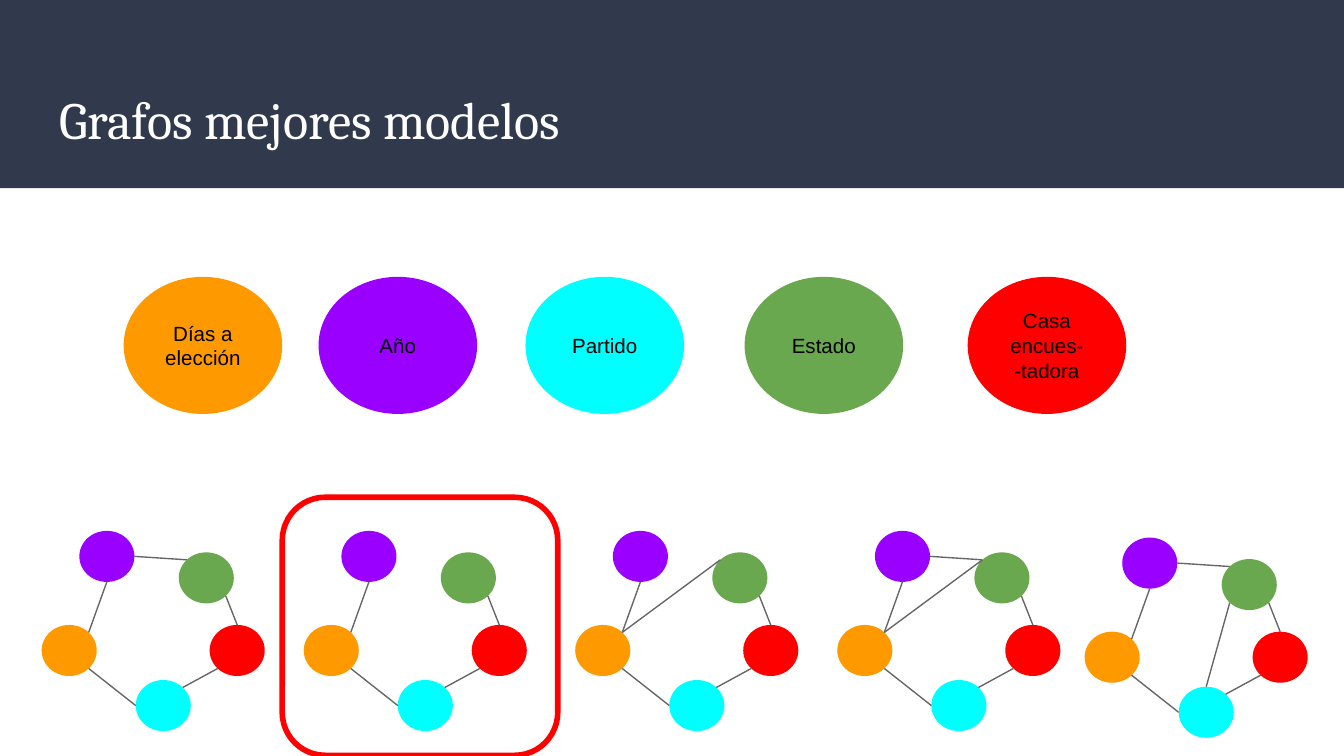
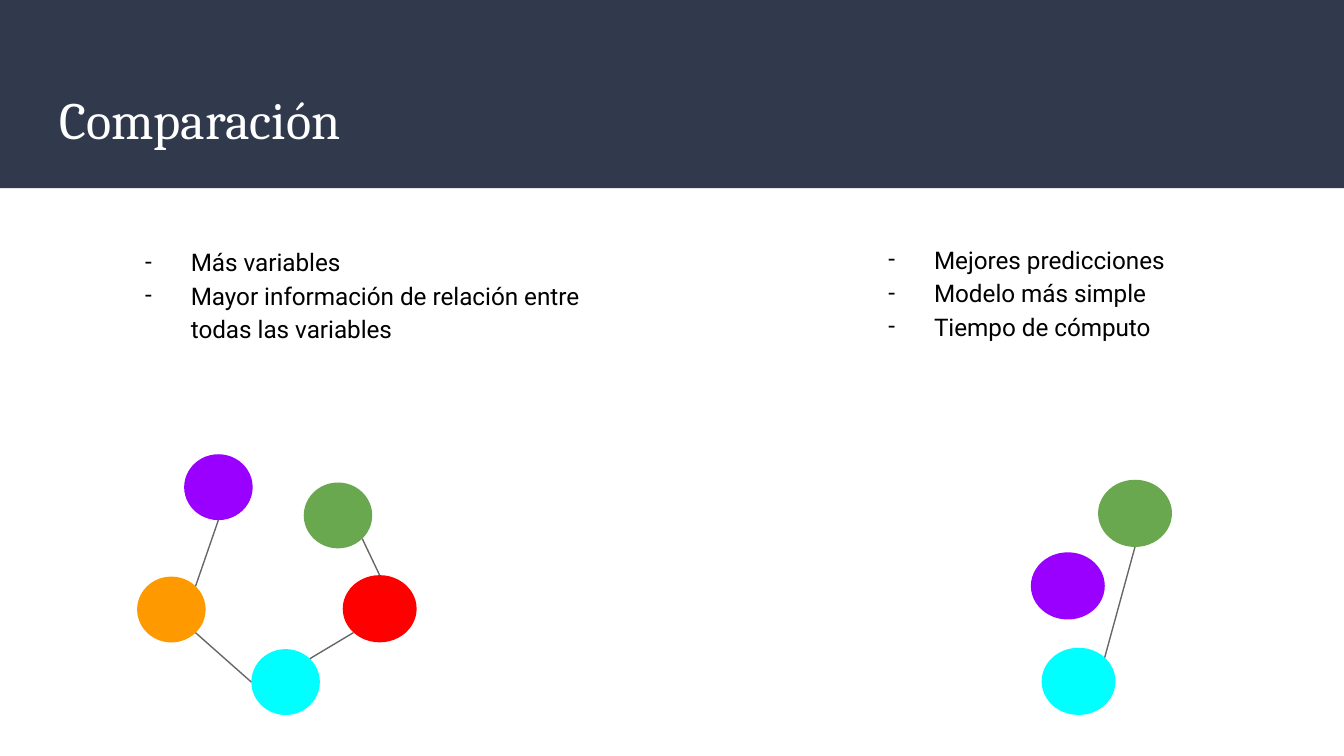
from dataclasses import dataclass
from math import cos, pi, sin

from lxml.etree import SubElement
from pptx import Presentation
from pptx.dml.color import RGBColor
from pptx.enum.shapes import MSO_CONNECTOR, MSO_SHAPE
from pptx.enum.text import MSO_ANCHOR, MSO_AUTO_SIZE, PP_ALIGN
from pptx.oxml.ns import qn
from pptx.util import Inches, Pt

COLORS = {
    "band": "31394D", "white": "FFFFFF", "text": "000000", "edge": "666666",
    "días": "FF9900", "año": "9900FF", "partido": "00FFFF",
    "estado": "6AA84F", "casa": "FF0000",
}

# Angles of the connection points on an ellipse, clockwise from the right
ANGLES = {"r": 0, "br": 45, "b": 90, "bl": 135,
          "l": 180, "tl": 225, "t": 270, "tr": 315}


@dataclass(frozen=True)
class Node:
    kind: str
    x: float
    y: float
    w: float = 0.41
    h: float = 0.38

    def point(self, site: str) -> tuple[float, float]:
        a = ANGLES[site] * pi / 180
        return (self.x + self.w / 2 * (1 + cos(a)),
                self.y + self.h / 2 * (1 + sin(a)))


@dataclass(frozen=True)
class Edge:
    start: str
    start_site: str
    end: str
    end_site: str


@dataclass(frozen=True)
class Graph:
    x: float
    y: float
    extra: tuple[Edge, ...] = ()


@dataclass(frozen=True)
class Legend:
    kind: str
    x: float
    lines: tuple[str, ...]


@dataclass(frozen=True)
class Points:
    box: tuple[float, float, float, float]
    lines: tuple[str, ...]


# Edges found in every full model, and those that only some have
COMMON = (
    Edge("días", "tr", "año", "b"),
    Edge("días", "br", "partido", "l"),
    Edge("estado", "br", "casa", "t"),
    Edge("casa", "bl", "partido", "tr"),
)
AÑO_ESTADO = Edge("año", "r", "estado", "tl")
DÍAS_ESTADO = Edge("días", "tr", "estado", "tl")
ESTADO_PARTIDO = Edge("estado", "bl", "partido", "t")

LEGEND = (
    Legend("días", 0.92, ("Días a elección",)),
    Legend("año", 2.37, ("Año",)),
    Legend("partido", 3.91, ("Partido",)),
    Legend("estado", 5.54, ("Estado",)),
    Legend("casa", 7.2, ("Casa encues-", "-tadora")),
)
OFFSETS = {"días": (0, 0.7), "año": (0.28, 0), "partido": (0.7, 1.11),
           "estado": (1.02, 0.16), "casa": (1.25, 0.7)}
GRAPHS = (
    Graph(0.31, 3.95, (AÑO_ESTADO,)),
    Graph(2.26, 3.95),
    Graph(4.28, 3.95, (DÍAS_ESTADO,)),
    Graph(6.23, 3.95, (DÍAS_ESTADO, AÑO_ESTADO)),
    Graph(8.07, 4, (AÑO_ESTADO, ESTADO_PARTIDO)),
)

FULL_MODEL = (
    Node("días", 1.02, 4.29, 0.51, 0.49),
    Node("año", 1.37, 3.38, 0.51, 0.49),
    Node("partido", 1.87, 4.83, 0.51, 0.49),
    Node("estado", 2.26, 3.59, 0.51, 0.49),
    Node("casa", 2.55, 4.28, 0.55, 0.5),
)
SIMPLE_MODEL = (
    Node("año", 7.67, 4.11, 0.55, 0.5),
    Node("partido", 7.75, 4.82, 0.55, 0.5),
    Node("estado", 8.17, 3.57, 0.55, 0.5),
)
COMPARISON = (
    Points((0.82, 1.71, 3.76, 1.4), (
        "Más variables",
        "Mayor información de relación entre todas las variables")),
    Points((6.35, 1.69, 3.11, 1.42), (
        "Mejores predicciones", "Modelo más simple", "Tiempo de cómputo")),
)


def rgb(name: str) -> RGBColor:
    return RGBColor.from_string(COLORS[name])


def add_run(p, text: str, font: str, size: float, color: str) -> None:
    r = p.add_run()
    r.text = text
    r.font.name, r.font.size = font, Pt(size)
    r.font.color.rgb = rgb(color)


def paragraphs(tf, lines: tuple[str, ...]):
    """Yield each line with the paragraph that will hold it."""
    for i, line in enumerate(lines):
        yield (tf.add_paragraph() if i else tf.paragraphs[0]), line


def format_frame(tf, anchor) -> None:
    tf.word_wrap = True
    tf.auto_size = MSO_AUTO_SIZE.NONE
    tf.vertical_anchor = anchor
    tf.margin_left = tf.margin_right = Inches(0.1)
    tf.margin_top = tf.margin_bottom = Inches(0.1)


def place(sp, x: float, y: float, w: float, h: float) -> None:
    sp.left, sp.top = Inches(x), Inches(y)
    sp.width, sp.height = Inches(w), Inches(h)


def add_filled(s, preset, x: float, y: float, w: float, h: float, color: str):
    sp = s.shapes.add_shape(preset, Inches(x), Inches(y), Inches(w), Inches(h))
    sp.shadow.inherit = False
    sp.fill.solid()
    sp.fill.fore_color.rgb = rgb(color)
    sp.line.fill.background()
    return sp


def new_slide(prs, layout: int, title: str):
    s = prs.slides.add_slide(prs.slide_layouts[layout])
    # Band behind the title
    band = add_filled(s, MSO_SHAPE.RECTANGLE, 0, 0, 10, 1.4, "band")
    s.shapes.element.insert(2, band.element)
    # Title
    sp = s.shapes.title
    place(sp, 0.34, 0.55, 9.32, 0.68)
    format_frame(sp.text_frame, MSO_ANCHOR.TOP)
    p = sp.text_frame.paragraphs[0]
    p.alignment = PP_ALIGN.LEFT
    add_run(p, title, "Cambria", 28, "white")
    return s


def draw_graph(s, nodes: tuple[Node, ...], edges: tuple[Edge, ...]) -> None:
    by_kind = {n.kind: n for n in nodes}
    for n in nodes:
        add_filled(s, MSO_SHAPE.OVAL, n.x, n.y, n.w, n.h, n.kind)
    for e in edges:
        ends = (*by_kind[e.start].point(e.start_site),
                *by_kind[e.end].point(e.end_site))
        line = s.shapes.add_connector(
            MSO_CONNECTOR.STRAIGHT, *(Inches(v) for v in ends))
        line.line.color.rgb = rgb("edge")
        line.line.width = Pt(0.75)
        SubElement(line.element.spPr, qn("a:effectLst"))


def draw_legend(s, item: Legend) -> None:
    sp = add_filled(s, MSO_SHAPE.OVAL, item.x, 2.06, 1.18, 1.02, item.kind)
    format_frame(sp.text_frame, MSO_ANCHOR.MIDDLE)
    for p, line in paragraphs(sp.text_frame, item.lines):
        p.alignment = PP_ALIGN.CENTER
        add_run(p, line, "Arial", 11, "text")


def fill_points(sp, points: Points) -> None:
    place(sp, *points.box)
    format_frame(sp.text_frame, MSO_ANCHOR.TOP)
    for p, line in paragraphs(sp.text_frame, points.lines):
        p.alignment = PP_ALIGN.LEFT
        p.line_spacing = 1.15
        p.space_before = p.space_after = Pt(0)
        # Hanging dash
        pPr = p._p.get_or_add_pPr()
        pPr.set("marL", str(Inches(0.5)))
        pPr.set("indent", str(Inches(-0.34)))
        clr = SubElement(pPr, qn("a:buClr"))
        SubElement(clr, qn("a:srgbClr")).set("val", COLORS["text"])
        SubElement(pPr, qn("a:buFont")).set("typeface", "Roboto")
        SubElement(pPr, qn("a:buChar")).set("char", "-")
        add_run(p, line, "Roboto", 13, "text")


def build_models(prs) -> None:
    s = new_slide(prs, 5, "Grafos mejores modelos")
    for item in LEGEND:
        draw_legend(s, item)
    for g in GRAPHS:
        nodes = tuple(Node(kind, g.x + dx, g.y + dy)
                      for kind, (dx, dy) in OFFSETS.items())
        draw_graph(s, nodes, COMMON + g.extra)
    # Frame around the chosen model
    frame = s.shapes.add_shape(
        MSO_SHAPE.FLOWCHART_ALTERNATE_PROCESS,
        Inches(2.1), Inches(3.7), Inches(2.05), Inches(1.92))
    frame.shadow.inherit = False
    frame.fill.background()
    frame.line.color.rgb = rgb("casa")
    frame.line.width = Pt(3)


def build_comparison(prs) -> None:
    s = new_slide(prs, 3, "Comparación")
    for idx, points in enumerate(COMPARISON, start=1):
        fill_points(s.placeholders[idx], points)
    draw_graph(s, FULL_MODEL, COMMON)
    draw_graph(s, SIMPLE_MODEL, (Edge("estado", "b", "partido", "tr"),))


def main() -> None:
    prs = Presentation()
    # Widescreen, 16:9
    prs.slide_width = Inches(10)
    prs.slide_height = Inches(10) * 9 // 16
    build_models(prs)
    build_comparison(prs)
    prs.save("out.pptx")


if __name__ == "__main__":
    main()
